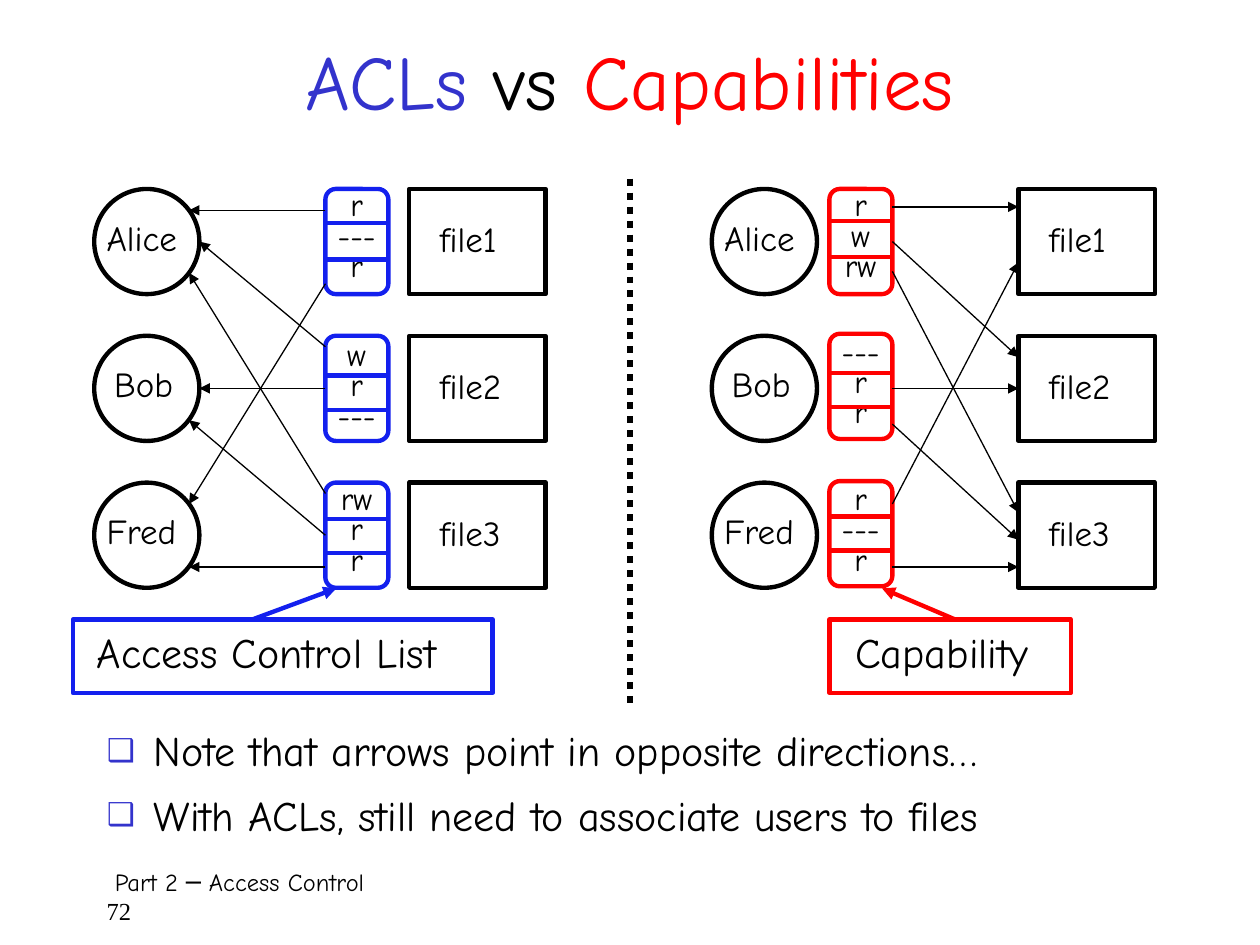
import pptx
import pptx.util
import pptx.dml.color
import pptx.enum.dml
import pptx.enum.shapes
import pptx.enum.text
import pptx.oxml.ns
import lxml.etree

Cm = pptx.util.Cm
Pt = pptx.util.Pt
qn = pptx.oxml.ns.qn
SHAPE = pptx.enum.shapes.MSO_SHAPE
ALIGN = pptx.enum.text.PP_ALIGN
FIT = pptx.enum.text.MSO_AUTO_SIZE

COLORS = {
    "black": "000000",
    "indigo": "3333CC",
    "blue": "1320EE",
    "red": "FF0000",
}
FONT = "Comic Neue"
ROW_TOPS = [3.81 + 2.96 * row for row in range(3)]
ROW_HEIGHT = 2.12
LIST_WIDTH = 1.27
USERS = [("Alice", 0), ("Bob", 0.15), ("Fred", 0)]
FILES = ["file1", "file2", "file3"]

ACL = {
    "color": "blue",
    "user_left": 1.9,
    "list_left": 6.56,
    "file_left": 8.25,
    "list_tops": ROW_TOPS,
    "text_tops": [3.76, 6.78, 9.68],
    "rights": [["r", "---", "r"], ["w", "r", "---"], ["rw", "r", "r"]],
    "dividers": [(4.5, 5.23), (7.57, 8.26), (10.46, 11.15)],
    "label": "Access Control List",
    "label_box": (1.7, 12.5, 8.2, 1.45),
    "frame": (1.47, 12.49, 8.46, 1.48),
    "pointer": (5.08, 12.49, 6.78, 11.86),
}
CAPABILITY = {
    "color": "red",
    "user_left": 14.35,
    "list_left": 16.72,
    "file_left": 20.53,
    "list_tops": [3.81, 6.73, 9.7],
    "text_tops": [3.76, 6.71, 9.68],
    "rights": [["r", "w", "rw"], ["---", "r", "r"], ["r", "---", "r"]],
    "dividers": [(4.45, 5.18), (7.52, 8.2), (10.41, 11.1)],
    "label": "Capability",
    "label_box": (16.99, 12.5, 4.39, 1.45),
    "frame": (16.72, 12.49, 4.87, 1.48),
    "pointer": (19.26, 12.49, 17.78, 11.86),
}
ACL_ARROWS = [
    (4.24, 3.81, 4.24),
    (6.99, 4.02, 4.87),
    (9.95, 3.81, 5.5),
    (7.83, 4.02, 7.83),
    (10.79, 3.81, 8.47),
    (11.43, 3.81, 11.43),
    (5.72, 3.81, 10.16),
]
CAPABILITY_ARROWS = [
    (4.17, 4.17),
    (4.87, 7.2),
    (5.47, 10.33),
    (7.83, 7.83),
    (11.43, 11.43),
    (10.16, 5.29),
    (8.55, 10.88),
]


def rgb(name):
    return pptx.dml.color.RGBColor.from_string(COLORS[name])


def set_font(font, size, name=FONT, color="black"):
    font.name = name
    font.size = Pt(size)
    font.color.rgb = rgb(color)


def place(shape, left, top, width, height):
    shape.left, shape.top = Cm(left), Cm(top)
    shape.width, shape.height = Cm(width), Cm(height)


def add_text(page, lines, area, size, align=ALIGN.LEFT, spacing=None):
    box = page.shapes.add_textbox(*map(Cm, area))
    frame = box.text_frame
    frame.word_wrap = False
    frame.auto_size = FIT.SHAPE_TO_FIT_TEXT
    frame.text = "\n".join(lines)
    for para in frame.paragraphs:
        para.alignment = align
        para.line_spacing = spacing
        set_font(para.font, size)


def add_outline(page, kind, area, color="black"):
    shape = page.shapes.add_shape(kind, *map(Cm, area))
    shape.shadow.inherit = False
    shape.fill.background()
    shape.line.color.rgb = rgb(color)
    shape.line.width = Pt(2.5)
    return shape


def add_line(page, ends, color="black", width=2.5, arrow=False, dash=None):
    line = page.shapes.add_connector(
        pptx.enum.shapes.MSO_CONNECTOR.STRAIGHT, *map(Cm, ends))
    line.line.color.rgb = rgb(color)
    line.line.width = Pt(width)
    if dash:
        line.line.dash_style = dash
    properties = line.element.spPr
    if arrow:
        outline = properties.find(qn("a:ln"))
        lxml.etree.SubElement(outline, qn("a:tailEnd"), type="triangle")
    lxml.etree.SubElement(properties, qn("a:effectLst"))
    return line


def add_bullet(para):
    properties = para._p.get_or_add_pPr()
    properties.set("marL", str(Cm(0.95)))
    properties.set("indent", str(-Cm(0.95)))
    color = lxml.etree.SubElement(properties, qn("a:buClr"))
    lxml.etree.SubElement(color, qn("a:srgbClr"), val=COLORS["indigo"])
    lxml.etree.SubElement(properties, qn("a:buSzPct"), val="75000")
    lxml.etree.SubElement(properties, qn("a:buChar"), char="❑")


def fill_title(title):
    place(title, 1.9, 0.43, 21.59, 2.34)
    title.text_frame.auto_size = FIT.NONE
    title.text_frame.vertical_anchor = pptx.enum.text.MSO_ANCHOR.MIDDLE
    para = title.text_frame.paragraphs[0]
    para.alignment = ALIGN.CENTER
    for text, color in [("ACLs ", "indigo"), ("vs ", "black"), ("Capabilities", "red")]:
        span = para.add_run()
        span.text = text
        set_font(span.font, 44, color=color)


def fill_body(body):
    place(body, 1.9, 14.6, 21.59, 2.74)
    body.text_frame.auto_size = FIT.NONE
    body.text_frame.text = ("Note that arrows point in opposite directions…\n"
                            "With ACLs, still need to associate users to files")
    for para in body.text_frame.paragraphs:
        para.line_spacing = 0.9
        para.space_before = Pt(4.8)
        para.space_after = Pt(6)
        add_bullet(para)
        set_font(para.font, 24)


def add_footer(page):
    box = page.shapes.add_textbox(Cm(1.9), Cm(17.35), Cm(21.79), Cm(1.27))
    box.text_frame.word_wrap = True
    box.text_frame.text = " Part 2 ─ Access Control\n72"
    for para, name in zip(box.text_frame.paragraphs, [FONT, "Times New Roman"]):
        set_font(para.font, 14, name)


def add_side(page, side):
    color, left = side["color"], side["list_left"]
    lists, files = [], []
    for row, top in enumerate(ROW_TOPS):
        name, shift = USERS[row]
        user_left, file_left = side["user_left"], side["file_left"]
        add_outline(page, SHAPE.OVAL, (user_left, top, ROW_HEIGHT, ROW_HEIGHT))
        add_text(page, [name], (user_left + shift, top + 0.42, 2.16 - 2 * shift, 1.24), 20)
        files.append(add_outline(page, SHAPE.RECTANGLE, (file_left, top, 2.75, ROW_HEIGHT)))
        add_text(page, [FILES[row]], (file_left + 0.37, top + 0.45, 2.08, 1.24), 20)
        lists.append(add_outline(page, SHAPE.ROUNDED_RECTANGLE,
                                 (left, side["list_tops"][row], LIST_WIDTH, ROW_HEIGHT), color))
        add_text(page, side["rights"][row], (left - 0.02, side["text_tops"][row], 1.3, 2.39),
                 18, ALIGN.CENTER, 0.8)
        for height in side["dividers"][row]:
            add_line(page, (left, height, left + LIST_WIDTH, height), color)
    add_outline(page, SHAPE.RECTANGLE, side["frame"], color)
    add_text(page, [side["label"]], side["label_box"], 24)
    add_line(page, side["pointer"], color, arrow=True)
    return lists, files


def main():
    deck = pptx.Presentation()
    deck.slide_width, deck.slide_height = Cm(25.4), Cm(19.05)
    page = deck.slides.add_slide(deck.slide_layouts[1])
    fill_title(page.shapes.title)
    fill_body(page.placeholders[1])
    add_footer(page)
    add_line(page, (12.7, 3.6, 12.7, 14.18), width=4,
             dash=pptx.enum.dml.MSO_LINE.ROUND_DOT)
    acl_lists, _ = add_side(page, ACL)
    capability_lists, capability_files = add_side(page, CAPABILITY)

    acl_arrows = [add_line(page, (ACL["list_left"], start, edge, end), width=0.75, arrow=True)
                  for start, edge, end in ACL_ARROWS]
    acl_arrows[3].begin_connect(acl_lists[1], 1)
    acl_arrows[4].begin_connect(acl_lists[2], 1)

    list_right = CAPABILITY["list_left"] + LIST_WIDTH
    arrows = [add_line(page, (list_right, start, CAPABILITY["file_left"], end),
                       width=0.75, arrow=True)
              for start, end in CAPABILITY_ARROWS]
    arrows[1].begin_connect(capability_lists[0], 3)
    arrows[3].end_connect(capability_files[1], 1)
    deck.save("out.pptx")


if __name__ == "__main__":
    main()
